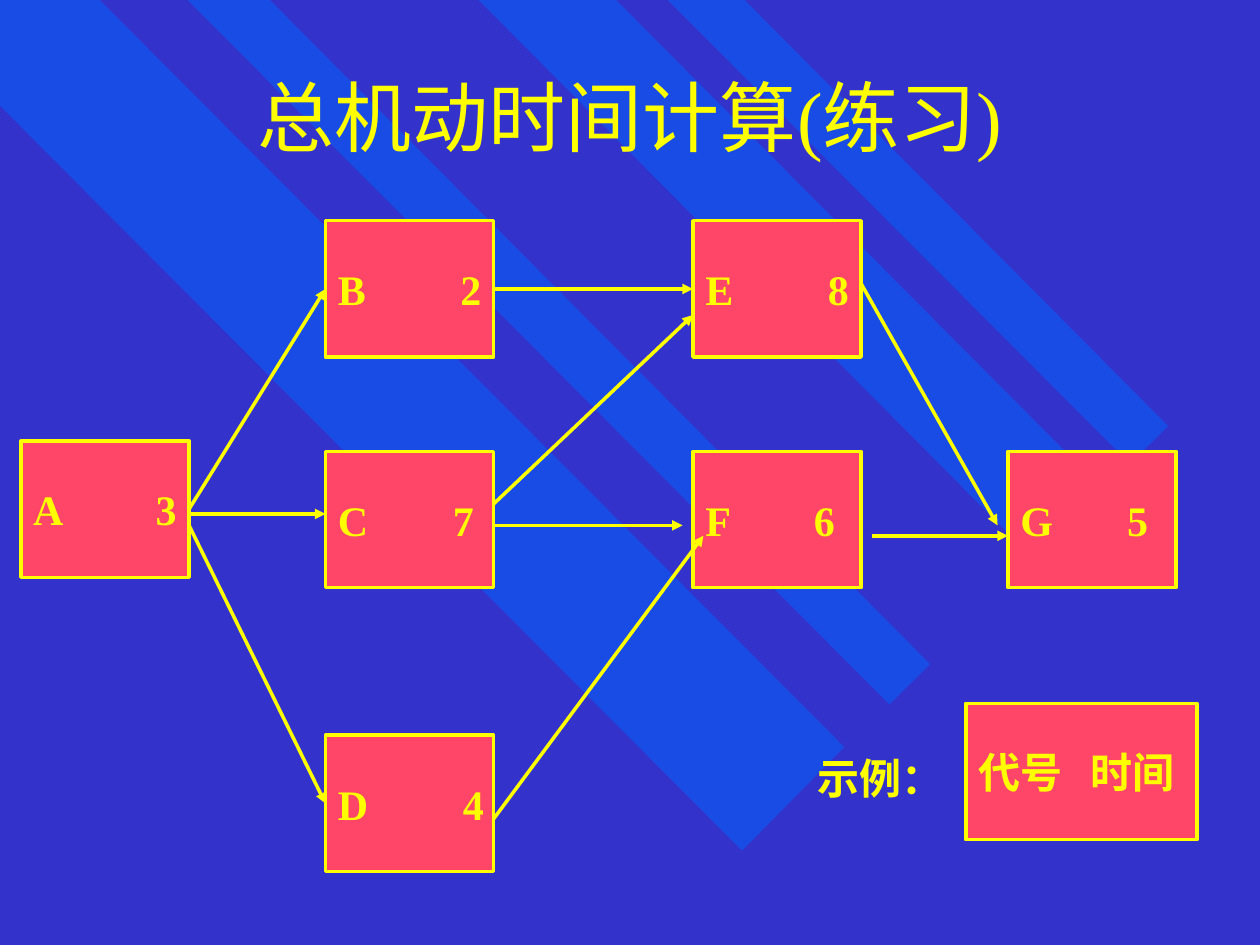
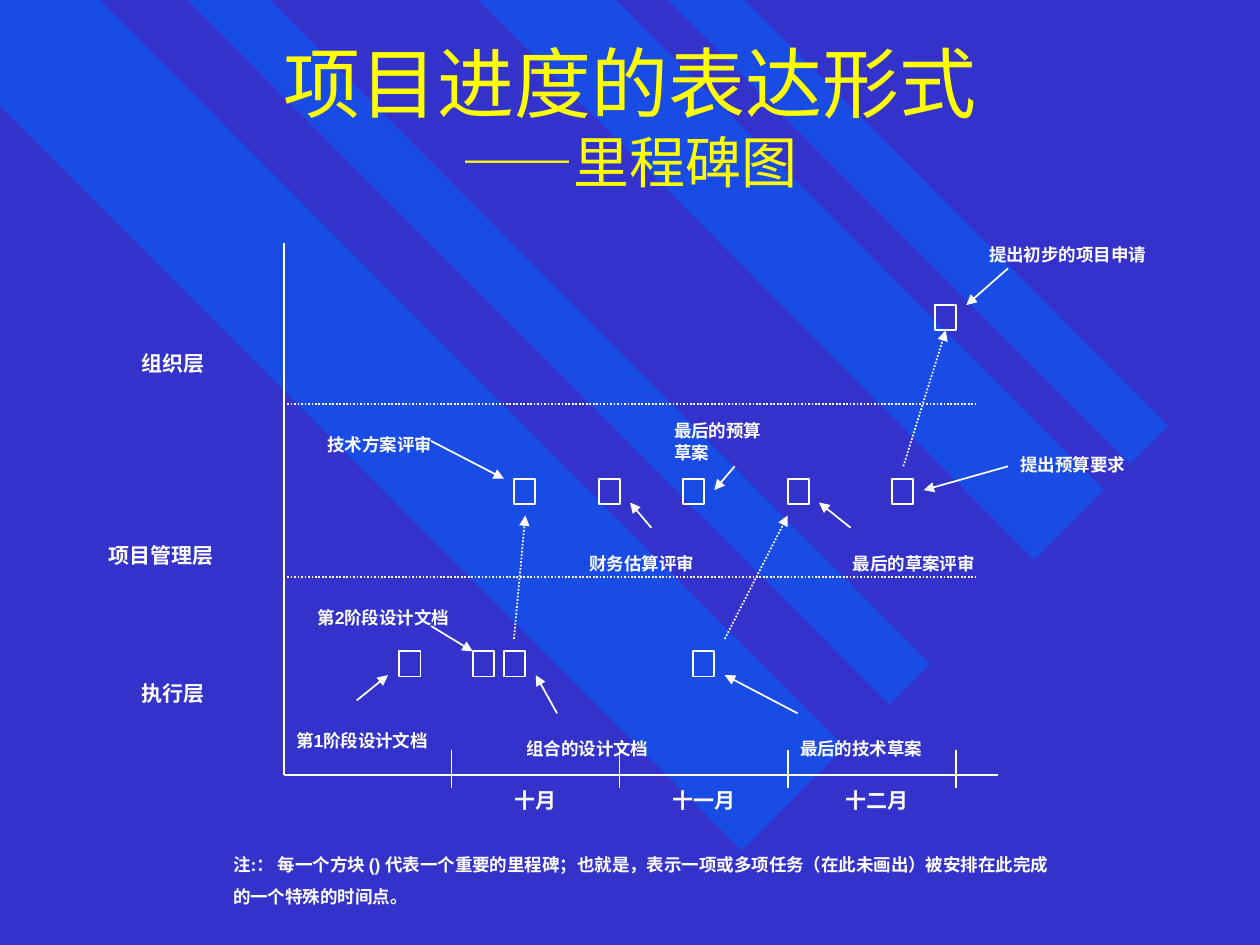
from lxml import etree
from pptx import Presentation
from pptx.dml.color import RGBColor
from pptx.enum import dml, shapes, text
from pptx.oxml.ns import qn
from pptx.util import Cm, Pt

BLUE = RGBColor(0x33, 0x33, 0xCC)
BAND = RGBColor(0x00, 0x66, 0xFF)
YELLOW = RGBColor(0xFF, 0xFF, 0x00)
PINK = RGBColor(0xFF, 0x45, 0x68)
WHITE = RGBColor(0xFF, 0xFF, 0xFF)
SERIF, SANS = "Times New Roman", "Arial"
LEFT, CENTER = text.PP_ALIGN.LEFT, text.PP_ALIGN.CENTER


def write(p, words, font=SERIF, size=24, color=YELLOW, bold=False, align=LEFT):
    p.alignment = align
    r = p.add_run()
    r.text = words
    r.font.name = font
    r.font.size = Pt(size)
    r.font.bold = bold
    r.font.color.rgb = color


def link(s, start, end, color=WHITE, width=1, arrow=True, dotted=False):
    """Draw a straight line; each end is an (x, y) in cm or a (shape, side) pair."""
    points = [(0, 0) if hasattr(a, "shape_id") else (a, b) for a, b in (start, end)]
    c = s.shapes.add_connector(shapes.MSO_CONNECTOR.STRAIGHT,
                               *[Cm(v) for point in points for v in point])
    for (a, b), join in ((start, c.begin_connect), (end, c.end_connect)):
        if hasattr(a, "shape_id"):
            join(a, b)
    c.line.color.rgb = color
    c.line.width = Pt(width)
    if dotted:
        c.line.dash_style = dml.MSO_LINE.ROUND_DOT
    if arrow:
        etree.SubElement(c.line._get_or_add_ln(), qn("a:tailEnd"), type="triangle")
    etree.SubElement(c._element.spPr, qn("a:effectLst"))


prs = Presentation()
prs.slide_width, prs.slide_height = Cm(25.4), Cm(19.05)
layout = prs.slide_layouts[5]

# Shared background and titles
fill = prs.slide_master.background.fill
fill.solid()
fill.fore_color.rgb = BLUE
titles = ["总机动时间计算(练习)", "项目进度的表达形式"]
for title in titles:
    s = prs.slides.add_slide(layout)
    sp = s.shapes.title
    sp.left, sp.top, sp.width, sp.height = Cm(1.9), Cm(0.63), Cm(21.6), Cm(3.39)
    tf = sp.text_frame
    tf.auto_size = text.MSO_AUTO_SIZE.NONE
    tf.vertical_anchor = text.MSO_ANCHOR.MIDDLE
    write(tf.paragraphs[0], title, size=44, align=CENTER)
network, milestones = prs.slides

# Diagonal bands, moved to the layout so both slides show them
bands = [
    [(17.02, 15.06), (2.01, 0), (0, 0), (0, 2.13), (14.96, 17.15)],
    [(5.44, 0), (18.75, 13.39), (17.93, 14.2), (3.78, 0)],
    [(12.42, 0), (22.25, 9.88), (20.85, 11.28), (9.65, 0)],
    [(13.46, 0), (22.78, 9.35), (23.55, 8.59), (15.01, 0)],
]
for i, band in enumerate(bands):
    corners = [(Cm(x), Cm(y)) for x, y in band]
    builder = network.shapes.build_freeform(*corners[0])
    builder.add_line_segments(corners[1:], close=True)
    sp = builder.convert_to_shape()
    sp.shadow.inherit = False
    sp.fill.solid()
    sp.fill.fore_color.rgb = BAND
    sp.line.fill.background()
    color = sp._element.spPr.find(qn("a:solidFill"))[0]
    etree.SubElement(color, qn("a:alpha"), val="50000")
    layout.shapes._spTree.insert(2 + i, sp._element)

# Slide 1: activity boxes (label, duration, x, y, width, tab position)
s = network
activities = [
    ("A", "3", 0.42, 8.89, 3.39, 2.47),
    ("B", "2", 6.56, 4.45, 3.39, 2.47),
    ("C", "7", 6.56, 9.1, 3.39, 2.32),
    ("D", "4", 6.56, 14.82, 3.39, 2.52),
    ("E", "8", 13.97, 4.45, 3.39, 2.47),
    ("F", "6", 13.97, 9.1, 3.39, 2.19),
    ("G", "5", 20.32, 9.1, 3.39, 2.15),
    ("代号", "时间", 19.47, 14.18, 4.66, 2.27),
]
box = {}
for label, duration, x, y, width, tab in activities:
    sp = s.shapes.add_shape(shapes.MSO_SHAPE.RECTANGLE, Cm(x), Cm(y), Cm(width), Cm(2.75))
    sp.shadow.inherit = False
    sp.fill.solid()
    sp.fill.fore_color.rgb = PINK
    sp.line.color.rgb = YELLOW
    sp.line.width = Pt(2)
    tf = sp.text_frame
    tf.word_wrap = False
    tf.vertical_anchor = text.MSO_ANCHOR.MIDDLE
    p = tf.paragraphs[0]
    stops = etree.SubElement(p._p.get_or_add_pPr(), qn("a:tabLst"))
    etree.SubElement(stops, qn("a:tab"), pos=str(Cm(tab)), algn="l")
    write(p, f"{label}\t{duration}", bold=True)
    box[label] = sp

# Slide 1: dependencies
RIGHT_SIDE, LEFT_SIDE = 3, 1
dependencies = [
    ((box["A"], RIGHT_SIDE), (box["B"], LEFT_SIDE)),
    ((3.81, 10.36), (6.56, 10.36)),
    ((3.81, 10.59), (box["D"], LEFT_SIDE)),
    ((box["B"], RIGHT_SIDE), (box["E"], LEFT_SIDE)),
    ((9.95, 10.16), (13.97, 6.35)),
    ((9.95, 10.59), (13.76, 10.59)),
    ((9.95, 16.51), (14.18, 10.8)),
    ((17.36, 5.72), (20.11, 10.59)),
    ((17.57, 10.8), (20.32, 10.8)),
]
for start, end in dependencies:
    link(s, start, end, color=YELLOW, width=2)

# Slide 1: legend caption
tf = s.shapes.add_textbox(Cm(16.23), Cm(15.04), Cm(3.05), Cm(1.27)).text_frame
tf.word_wrap = False
write(tf.paragraphs[0], "示例：", bold=True)

# Slide 2: subtitle
s = milestones
p = s.shapes.title.text_frame.paragraphs[0]
p.add_line_break()
write(p, "——里程碑图", size=32, align=CENTER)

# Slide 2: axes, level dividers and month ticks
X0, Y0, MONTH = 5.72, 15.62, 3.39
link(s, (X0, 4.9), (X0, Y0), arrow=False)
link(s, (X0, Y0), (20.12, Y0), arrow=False)
for y in (8.15, 11.63):
    link(s, (X0, y), (19.69, y), arrow=False, dotted=True)
for i in range(4):
    x = 9.1 + i * MONTH
    link(s, (x, 15.11), (x, 15.88), arrow=False)

# Slide 2: milestone squares by level
levels = [
    (13.13, [8.05, 9.53, 10.16, 13.97]),
    (9.65, [10.36, 12.07, 13.77, 15.88, 17.98]),
    (6.15, [18.85]),
]
for y, lefts in levels:
    for x in lefts:
        square = s.shapes.add_shape(shapes.MSO_SHAPE.RECTANGLE, Cm(x), Cm(y), Cm(0.43), Cm(0.51))
        square.shadow.inherit = False
        square.fill.background()
        square.line.color.rgb = WHITE
        square.line.width = Pt(1)

# Slide 2: dotted arrows between levels; the last one meets the top square
for start, end in [((10.36, 12.88), (10.59, 10.39)),
                   ((14.61, 12.88), (15.88, 10.39)),
                   ((18.21, 9.4), (square, 2))]:
    link(s, start, end, dotted=True)

# Slide 2: milestone names (x, y, width, height) with their arrows
names = [
    ("第1阶段设计文档", (5.72, 14.58, 3.61, 0.69), (7.19, 14.12), (7.82, 13.61)),
    ("第2阶段设计文档", (6.15, 12.09, 3.61, 0.69), (8.69, 12.62), (9.53, 13.13)),
    ("组合的设计文档", (10.36, 14.73, 3.61, 0.69), (11.23, 14.38), (10.8, 13.61)),
    ("最后的技术草案", (15.88, 14.73, 3.61, 0.69), (16.08, 14.38), (14.61, 13.61)),
    ("技术方案评审", (6.35, 8.61, 4.01, 0.69), (8.69, 8.89), (10.16, 9.65)),
    ("财务估算评审", (11.63, 11, 4.24, 0.69), (13.13, 10.64), (12.7, 10.13)),
    ("最后的预算草案", (13.34, 8.33, 2.54, 1.12), (14.81, 9.4), (14.4, 9.88)),
    ("最后的草案评审", (16.94, 11, 3.61, 0.69), (17.15, 10.64), (16.51, 10.13)),
    ("提出预算要求", (20.32, 9.02, 3.18, 0.69), (20.32, 9.4), (18.62, 9.88)),
    ("提出初步的项目申请", (19.69, 4.78, 4.24, 0.69), (20.32, 5.41), (19.48, 6.15)),
]
for name, place, start, end in names:
    link(s, start, end)

# Slide 2: all captions (lines, place, size, alignment, line spacing)
captions = [([name], place, 10, LEFT, 1.0) for name, place, start, end in names]
captions += [
    (["组织层"], (1.7, 7.04, 3.58, 0.66), 12, CENTER, 0.8),
    (["项目管理层"], (1.7, 10.95, 3.1, 0.61), 12, CENTER, 0.7),
    (["执行层"], (1.7, 13.72, 3.58, 0.61), 12, CENTER, 0.7),
    (["注:： 每一个方块 () 代表一个重要的里程碑；也就是，表示一项或多项任务（在此未画出）被安排在此完成",
      "的一个特殊的时间点。"], (4.45, 17.09, 18.62, 1.32), 10, LEFT, 1.0),
]
for i, (month, width) in enumerate([("十月", 2.97), ("十一月", 2.97), ("十二月", 3.18)]):
    captions.append(([month], (9.32 + i * MONTH, 15.75, width, 0.76), 12, CENTER, 1.0))

for lines, place, size, align, spacing in captions:
    tf = s.shapes.add_textbox(*[Cm(v) for v in place]).text_frame
    tf.word_wrap = True
    tf.auto_size = text.MSO_AUTO_SIZE.SHAPE_TO_FIT_TEXT
    tf.vertical_anchor = text.MSO_ANCHOR.BOTTOM
    for i, line in enumerate(lines):
        p = tf.add_paragraph() if i else tf.paragraphs[0]
        p.line_spacing = spacing
        if i:
            p.space_before = Pt(6.2)
        write(p, line, font=SANS, size=size, color=WHITE, bold=True, align=align)

prs.save("out.pptx")
